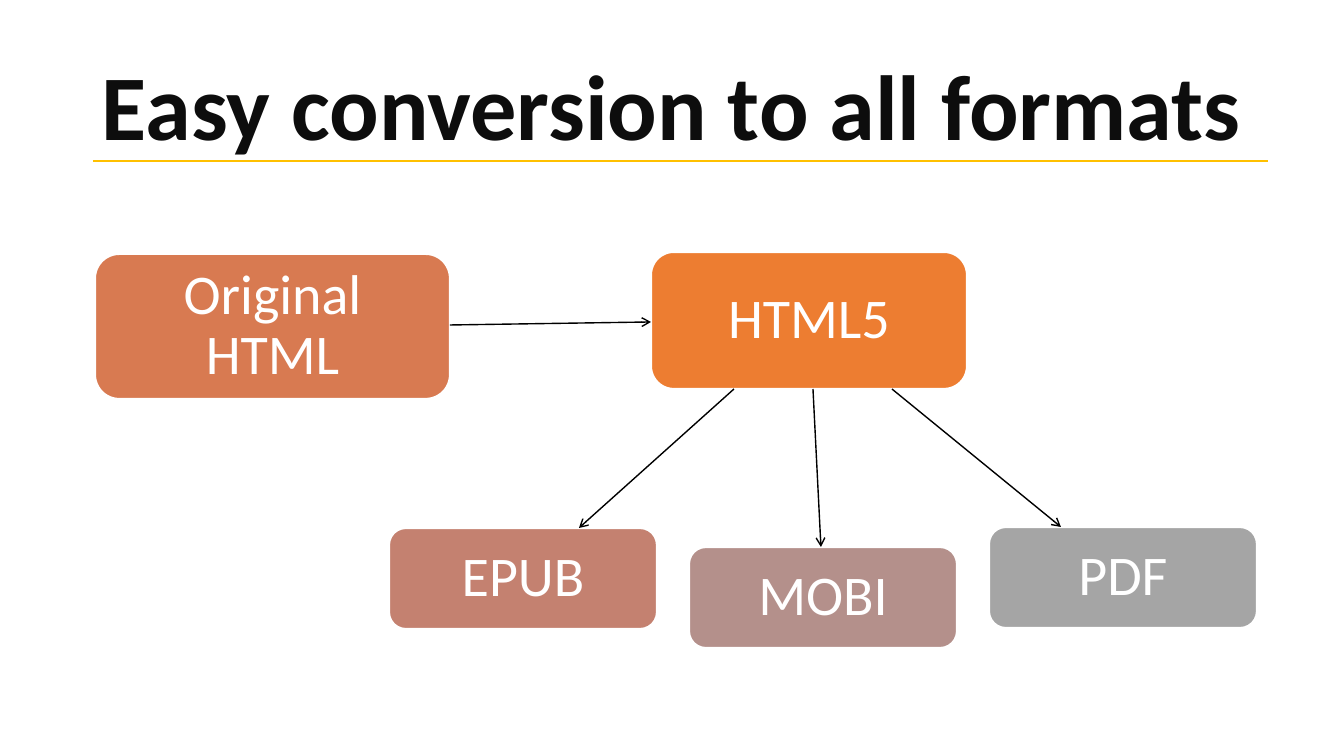
import dataclasses

import pptx
import pptx.dml.color
import pptx.enum.shapes
import pptx.enum.text
import pptx.oxml
import pptx.oxml.ns
import pptx.util

EMU_PER_PX = 9071.43  # 100.8 px to the inch


@dataclasses.dataclass(frozen=True)
class Theme:
    font: str = "Calibri"
    title_size: int = 66
    label_size: int = 40
    title: str = "0D0D0D"
    rule: str = "FFC000"
    arrow: str = "000000"
    label: str = "FFFFFF"
    outline: str = "FFFFFF"
    source: str = "D87A51"
    hub: str = "ED7D31"
    epub: str = "C48170"
    mobi: str = "B4908B"
    pdf: str = "A5A5A5"


THEME = Theme()


def px(length):
    return pptx.util.Emu(round(length * EMU_PER_PX))


def rgb(color):
    return pptx.dml.color.RGBColor.from_string(color)


def write_text(shape, text, size, color, margin, bold=False):
    frame = shape.text_frame
    frame.word_wrap = True
    frame.vertical_anchor = pptx.enum.text.MSO_ANCHOR.MIDDLE
    frame.margin_left = frame.margin_right = px(margin)
    frame.margin_top = frame.margin_bottom = px(5)
    frame.text = text
    paragraph = frame.paragraphs[0]
    paragraph.alignment = pptx.enum.text.PP_ALIGN.CENTER
    paragraph.line_spacing = 0.9
    font = paragraph.runs[0].font
    font.name = THEME.font
    font.size = pptx.util.Pt(size)
    font.bold = bold
    font.color.rgb = rgb(color)


def add_line(slide, start, end, color, width, arrow=False):
    line = slide.shapes.add_connector(
        pptx.enum.shapes.MSO_CONNECTOR.STRAIGHT,
        *(px(value) for value in (*start, *end)))
    line.line.color.rgb = rgb(color)
    line.line.width = pptx.util.Pt(width)
    if arrow:
        tail = pptx.oxml.parse_xml(
            f'<a:tailEnd {pptx.oxml.ns.nsdecls("a")} type="arrow"/>')
        line.line._get_or_add_ln().append(tail)
    effects = pptx.oxml.parse_xml(f'<a:effectLst {pptx.oxml.ns.nsdecls("a")}/>')
    line._element.spPr.append(effects)


def add_node(slide, text, color, left, top, width, height):
    node = slide.shapes.add_shape(
        pptx.enum.shapes.MSO_SHAPE.ROUNDED_RECTANGLE,
        px(left), px(top), px(width), px(height))
    node.shadow.inherit = False
    node.fill.solid()
    node.fill.fore_color.rgb = rgb(color)
    node.line.color.rgb = rgb(THEME.outline)
    node.line.width = pptx.util.Pt(1.5)
    write_text(node, text, THEME.label_size, THEME.label, margin=20)


def add_title(slide, left, top, width, height):
    title = slide.shapes.add_textbox(px(left), px(top), px(width), px(height))
    write_text(title, "Easy conversion to all formats", THEME.title_size,
               THEME.title, margin=10, bold=True)
    # Rule under the title
    rule_y = top + 123
    add_line(slide, (left + 30, rule_y), (left + width - 12, rule_y),
             THEME.rule, 1.5)


def add_conversion_diagram(slide, left, top):
    # Source and the hub it is converted to
    source_width, hub_left, hub_height = 355, left + 556, 137
    add_node(slide, "Original HTML", THEME.source,
             left, top + 2, source_width, 145)
    add_node(slide, "HTML5", THEME.hub, hub_left, top, 316, hub_height)
    add_line(slide, (left + source_width, top + 73), (hub_left, top + 70),
             THEME.arrow, 1, arrow=True)

    # Output formats: label, color, drop below the row, arrow landing point
    outputs = [("EPUB", THEME.epub, 1, 190),
               ("MOBI", THEME.mobi, 20, 132),
               ("PDF", THEME.pdf, 0, 72)]
    for index, (label, color, drop, landing) in enumerate(outputs):
        output_left = left + 294 + index * 300
        output_top = top + 275 + drop
        add_node(slide, label, color, output_left, output_top, 268, 101)
        add_line(slide, (hub_left + 83 + index * 79, top + hub_height),
                 (output_left + landing, output_top),
                 THEME.arrow, 1, arrow=True)


def main():
    presentation = pptx.Presentation()
    presentation.slide_width = px(1344)
    presentation.slide_height = px(756)
    slide = presentation.slides.add_slide(presentation.slide_layouts[6])
    add_conversion_diagram(slide, left=95, top=252)
    add_title(slide, left=63, top=38, width=1217, height=146)
    presentation.save("out.pptx")


if __name__ == "__main__":
    main()
